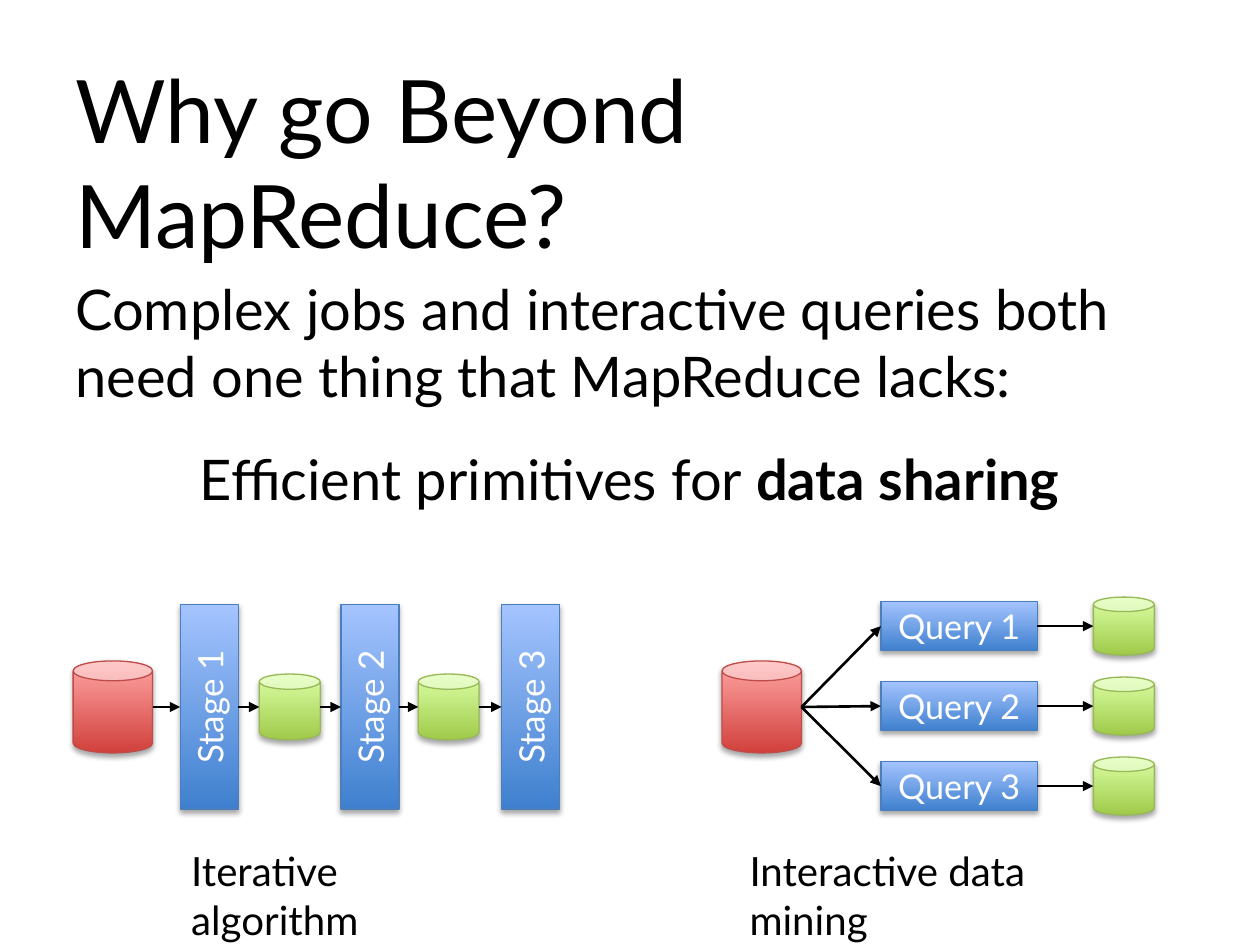
from lxml.etree import SubElement
from pptx import Presentation
from pptx.dml.color import RGBColor
from pptx.enum.shapes import MSO_CONNECTOR, MSO_SHAPE
from pptx.enum.text import MSO_ANCHOR, PP_ALIGN
from pptx.oxml.ns import qn
from pptx.util import Pt

BLACK = RGBColor(0x00, 0x00, 0x00)
WHITE = RGBColor(0xFF, 0xFF, 0xFF)
BLUE = (RGBColor(0x3F, 0x80, 0xCE), RGBColor(0xA4, 0xC4, 0xFF), RGBColor(0x4B, 0x7E, 0xBC))
GREEN = (RGBColor(0xA0, 0xCA, 0x4A), RGBColor(0xDA, 0xFF, 0xA5), RGBColor(0x98, 0xB9, 0x55))
RED = (RGBColor(0xD1, 0x40, 0x3C), RGBColor(0xFF, 0xA6, 0xA5), RGBColor(0xBF, 0x4C, 0x48))
FONT = "Lato"

TITLE = "Why go Beyond MapReduce?"
CLAIM = "Complex jobs and interactive queries both need one thing that MapReduce lacks:"
ANSWER = [("Efficient primitives for ", False), ("data sharing", True)]
STAGES = ["Stage 1", "Stage 2", "Stage 3"]
QUERIES = ["Query 1", "Query 2", "Query 3"]
CAPTIONS = [("Iterative algorithm", 102.2, 193.7), ("Interactive data mining", 421.2, 236.9)]

MIDDLE = 404
SOURCE_SIZE = (45.4, 52.6)
STAGE_SIZE, STAGE_LEFT, STAGE_STEP = (33.2, 116.8), 103, 91.8
STORE_SIZE, STORE_LEFT, STORE_STEP = (34.8, 37.6), 148.2, 90.8
QUERY_SIZE, QUERY_LEFT, QUERY_STEP = (89.4, 28.2), 503.4, 45.7
RESULT_SIZE, RESULT_LEFT = (34.8, 33.2), 624.8


def write(para, text, size=20, color=BLACK, bold=False, align=PP_ALIGN.LEFT):
    """Add one formatted span to a paragraph."""
    para.alignment = align
    span = para.add_run()
    span.text = text
    span.font.name = FONT
    span.font.size = Pt(size)
    span.font.bold = bold
    span.font.color.rgb = color


def add_box(left, top, width, height, anchor=MSO_ANCHOR.TOP):
    """Add a wrapping text box and return its frame."""
    box = page.shapes.add_textbox(Pt(left), Pt(top), Pt(width), Pt(height))
    box.text_frame.word_wrap = True
    box.text_frame.vertical_anchor = anchor
    return box.text_frame


def add_part(kind, left, center, size, palette, text="", text_size=20, vertical=False):
    """Add a shaded, shadowed shape centred on a height."""
    width, height = size
    shape = page.shapes.add_shape(kind, Pt(left), Pt(center - height / 2), Pt(width), Pt(height))
    dark, light, edge = palette
    shape.fill.gradient()
    shape.fill.gradient_angle = 90
    for stop, color in zip(shape.fill.gradient_stops, (dark, light)):
        stop.color.rgb = color
    shape.line.color.rgb = edge
    shape.line.width = Pt(0.75)
    shape.shadow.inherit = False
    effects = shape._element.spPr.find(qn("a:effectLst"))
    shadow = SubElement(effects, qn("a:outerShdw"), blurRad=str(Pt(3.1)), dist=str(Pt(1.8)),
                        dir="5400000", rotWithShape="0")
    tint = SubElement(shadow, qn("a:srgbClr"), val=str(BLACK))
    SubElement(tint, qn("a:alpha"), val="35000")
    if text:
        frame = shape.text_frame
        frame.vertical_anchor = MSO_ANCHOR.MIDDLE
        write(frame.paragraphs[0], text, size=text_size, color=WHITE, align=PP_ALIGN.CENTER)
        if vertical:
            frame._txBody.bodyPr.set("vert", "vert270")
    return shape


def add_arrow(start, end):
    """Draw an arrow from the right side of one shape to the left side of another."""
    arrow = page.shapes.add_connector(
        MSO_CONNECTOR.STRAIGHT, start.left + start.width, start.top + start.height // 2,
        end.left, end.top + end.height // 2)
    arrow.line.color.rgb = BLACK
    arrow.line.width = Pt(1.5)
    SubElement(arrow.line._get_or_add_ln(), qn("a:tailEnd"), type="triangle")
    SubElement(arrow._element.spPr, qn("a:effectLst"))


deck = Presentation()
deck.slide_width, deck.slide_height = Pt(720), Pt(540)
page = deck.slides.add_slide(deck.slide_layouts[6])

title = add_box(36, 46.8, 648, 90, anchor=MSO_ANCHOR.MIDDLE)
write(title.paragraphs[0], TITLE, size=50)

body = add_box(36, 153.4, 648, 195)
write(body.paragraphs[0], CLAIM, size=32)
answer = body.add_paragraph()
answer.space_before = Pt(20)
for text, bold in ANSWER:
    write(answer, text, size=32, bold=bold, align=PP_ALIGN.CENTER)

chain = [add_part(MSO_SHAPE.CAN, 41.8, MIDDLE, SOURCE_SIZE, RED)]
for index, stage in enumerate(STAGES):
    if index:
        left = STORE_LEFT + (index - 1) * STORE_STEP
        chain.append(add_part(MSO_SHAPE.CAN, left, MIDDLE, STORE_SIZE, GREEN))
    left = STAGE_LEFT + index * STAGE_STEP
    chain.append(add_part(MSO_SHAPE.RECTANGLE, left, MIDDLE, STAGE_SIZE, BLUE, stage, vertical=True))
for start, end in zip(chain, chain[1:]):
    add_arrow(start, end)

source = add_part(MSO_SHAPE.CAN, 412.6, MIDDLE, SOURCE_SIZE, RED)
for index, name in enumerate(QUERIES):
    center = MIDDLE - 0.5 + (index - 1) * QUERY_STEP
    query = add_part(MSO_SHAPE.RECTANGLE, QUERY_LEFT, center, QUERY_SIZE, BLUE, name, text_size=19.5)
    result = add_part(MSO_SHAPE.CAN, RESULT_LEFT, center, RESULT_SIZE, GREEN)
    add_arrow(source, query)
    add_arrow(query, result)

for caption, left, width in CAPTIONS:
    write(add_box(left, 480.2, width, 35.3).paragraphs[0], caption, size=23)

deck.save("out.pptx")
